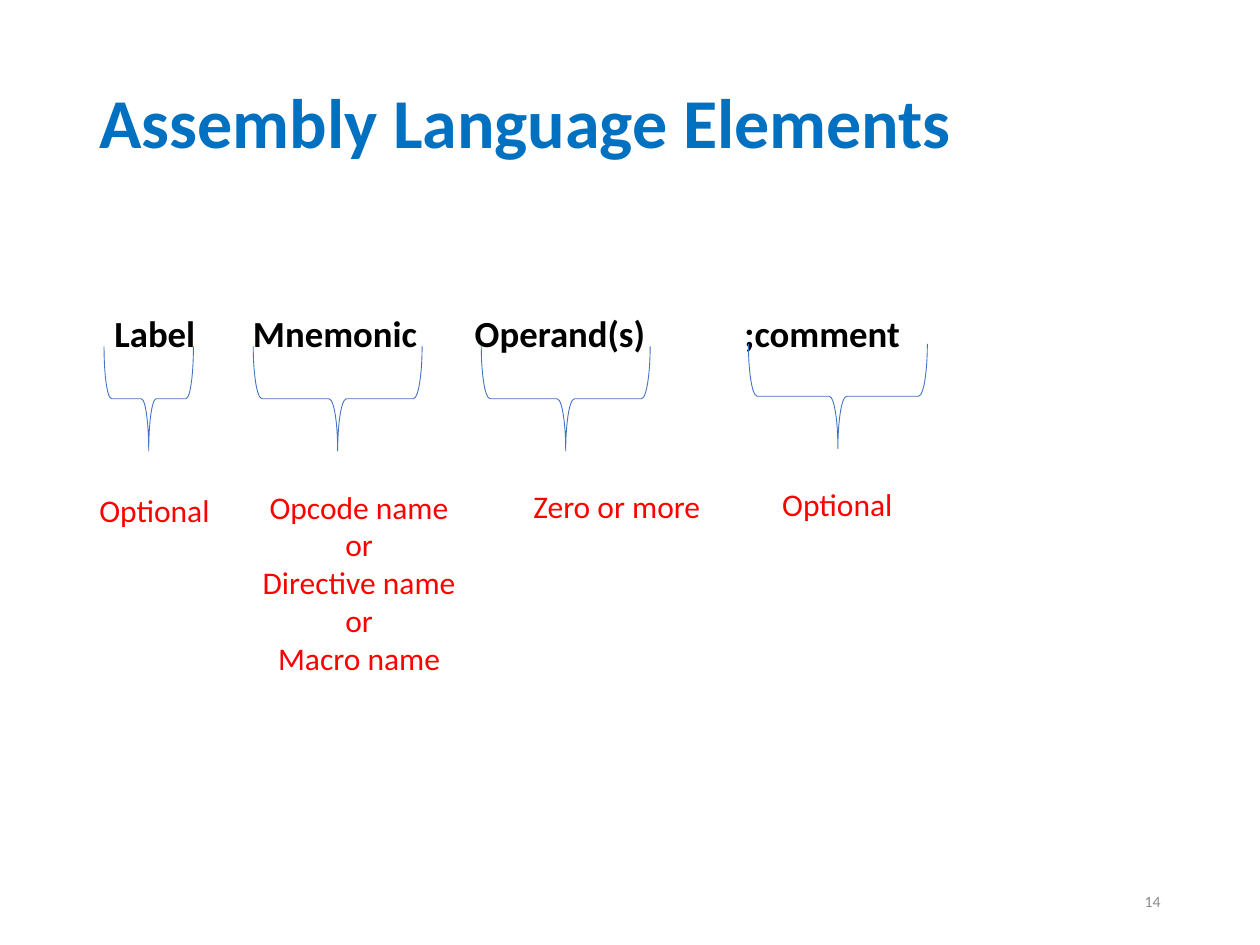
from dataclasses import dataclass

from lxml import etree
from pptx import Presentation
from pptx.dml.color import RGBColor
from pptx.enum.shapes import MSO_SHAPE
from pptx.enum.text import MSO_ANCHOR, PP_ALIGN
from pptx.oxml.ns import qn
from pptx.util import Inches, Pt

LEFT, CENTER, RIGHT = PP_ALIGN.LEFT, PP_ALIGN.CENTER, PP_ALIGN.RIGHT
TOP, MIDDLE = MSO_ANCHOR.TOP, MSO_ANCHOR.MIDDLE
BRACE = MSO_SHAPE.RIGHT_BRACE


@dataclass(frozen=True)
class Theme:
    """Font, colours and type sizes of the slide."""
    font: str = "Calibri"
    title: str = "0070C0"
    field: str = "000000"
    note: str = "FF0000"
    number: str = "8C8C8C"
    brace: str = "4472C4"
    title_size: int = 40
    field_size: int = 21
    note_size: int = 18
    number_size: int = 9
    brace_width: float = 0.5


THEME = Theme()
TITLE = "Assembly Language Elements"
PAGE_NUMBER = "14"
BRACE_DEPTH = 0.83
STATEMENT_LEFT = 0.81
# field, tab stop, brace (centre, top, span), note lines, note box, note alignment
ELEMENTS = [
    ("Label", 0, (1.18, 2.75, 0.71),
     ["Optional"], (0.69, 3.85, 1.53, 0.4), LEFT),
    ("Mnemonic", 1.1, (2.68, 2.75, 1.34),
     ["Opcode name", "or", "Directive name", "or", "Macro name"],
     (1.75, 3.82, 2.2, 1.62), CENTER),
    ("Operand(s)", 2.86, (4.49, 2.75, 1.34),
     ["Zero or more"], (3.9, 3.82, 1.99, 0.4), CENTER),
    (";comment", 5, (6.65, 2.73, 1.42),
     ["Optional"], (6.11, 3.8, 1.53, 0.4), LEFT),
]


def add_text(slide, lines, box, size, color, bold=False, align=LEFT, anchor=TOP,
             spacing=1.0):
    """Add a text box with one paragraph per line and return its paragraphs."""
    frame = slide.shapes.add_textbox(*map(Inches, box)).text_frame
    frame.word_wrap = True
    frame.vertical_anchor = anchor
    for index, line in enumerate(lines):
        paragraph = frame.add_paragraph() if index else frame.paragraphs[0]
        paragraph.alignment = align
        paragraph.line_spacing = spacing
        run = paragraph.add_run()
        run.text = line
        run.font.name = THEME.font
        run.font.size = Pt(size)
        run.font.bold = bold
        run.font.color.rgb = RGBColor.from_string(color)
    return frame.paragraphs


def set_tab_stops(paragraph, stops):
    """Give a paragraph left tab stops, in inches from its text edge."""
    tabs = etree.SubElement(paragraph._p.get_or_add_pPr(), qn("a:tabLst"))
    for stop in stops:
        etree.SubElement(tabs, qn("a:tab"), pos=str(Inches(stop)), algn="l")


def add_brace(slide, center, top, span):
    """Add a brace that opens upwards, turned about its middle."""
    left = center - BRACE_DEPTH / 2
    unturned_top = top + (BRACE_DEPTH - span) / 2
    brace = slide.shapes.add_shape(
        BRACE, Inches(left), Inches(unturned_top), Inches(BRACE_DEPTH), Inches(span))
    brace.rotation = 90
    brace.shadow.inherit = False
    brace.fill.background()
    brace.line.color.rgb = RGBColor.from_string(THEME.brace)
    brace.line.width = Pt(THEME.brace_width)


def build():
    """Build the slide and save it."""
    deck = Presentation()
    deck.slide_width, deck.slide_height = Inches(10), Inches(7.5)
    slide = deck.slides.add_slide(deck.slide_layouts[6])

    add_text(slide, [TITLE], (0.69, 0.4, 8.62, 1.19), THEME.title_size, THEME.title,
             bold=True, anchor=MIDDLE, spacing=0.9)
    statement = "\t".join(element[0] for element in ELEMENTS)
    paragraphs = add_text(slide, [statement], (STATEMENT_LEFT, 2.42, 8.5, 0.45),
                          THEME.field_size, THEME.field, bold=True)
    set_tab_stops(paragraphs[0], [element[1] for element in ELEMENTS[1:]])

    for _, _, brace, note, note_box, align in ELEMENTS:
        add_brace(slide, *brace)
        add_text(slide, note, note_box, THEME.note_size, THEME.note, align=align)

    add_text(slide, [PAGE_NUMBER], (7.06, 6.95, 2.25, 0.4), THEME.number_size,
             THEME.number, align=RIGHT, anchor=MIDDLE)
    deck.save("out.pptx")


build()
